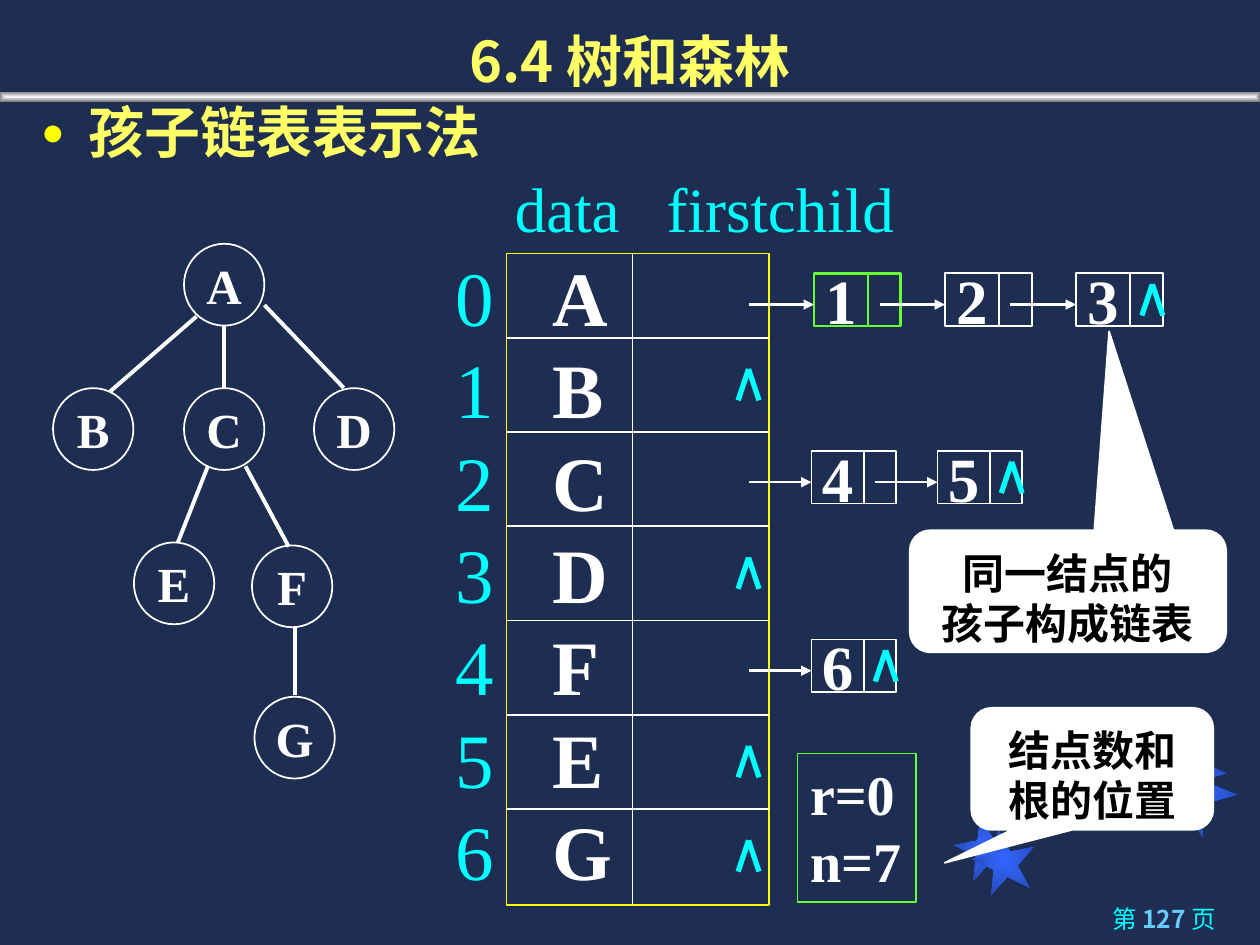
from lxml import etree
from pptx import Presentation
from pptx.dml.color import RGBColor
from pptx.enum.shapes import MSO_CONNECTOR, MSO_SHAPE as Kind
from pptx.enum.text import MSO_ANCHOR as Anchor, PP_ALIGN as Align
from pptx.oxml.ns import qn
from pptx.util import Cm, Pt

COLORS = {
    "navy": "1E2E53", "white": "FFFFFF", "black": "000000", "cyan": "00FFFF",
    "yellow": "FFFF00", "heading": "FFFF66", "green": "66FF33", "sky": "66CCFF",
    "star": "3366FF", "star_edge": "2449B6", "silver": "F2F2F2", "gray": "808080",
}
SERIF, SANS, CJK = "Times New Roman", "Arial", "Noto Sans CJK SC"


def rgb(name):
    return RGBColor.from_string(COLORS[name])


def add_xml(parent, tag, **attributes):
    return etree.SubElement(parent, qn(tag), attributes)


def style(para, size, color, font=SERIF, bold=False, align=Align.LEFT):
    para.alignment = align
    para.font.size, para.font.bold, para.font.name = Pt(size), bold, font
    para.font.color.rgb = rgb(color)
    if font != SERIF:
        defaults = para._p.get_or_add_pPr().find(qn("a:defRPr"))
        add_xml(defaults, "a:ea", typeface=CJK)


def add_tab(para, position):
    tabs = add_xml(para._p.get_or_add_pPr(), "a:tabLst")
    add_xml(tabs, "a:tab", pos=str(Cm(position)), algn="l")


def add_text(page, left, top, width, height):
    frame = page.shapes.add_textbox(Cm(left), Cm(top), Cm(width), Cm(height)).text_frame
    frame.word_wrap = True
    return frame


def add_box(page, kind, left, top, width, height, line=None, weight=1.0, fill=None):
    box = page.shapes.add_shape(kind, Cm(left), Cm(top), Cm(width), Cm(height))
    box.shadow.inherit = False
    if fill:
        box.fill.solid()
        box.fill.fore_color.rgb = rgb(fill)
    else:
        box.fill.background()
    if line:
        box.line.color.rgb = rgb(line)
        box.line.width = Pt(weight)
    else:
        box.line.fill.background()
    return box


def add_line(page, x1, y1, x2, y2, color="white", weight=1.0, arrow=False):
    line = page.shapes.add_connector(
        MSO_CONNECTOR.STRAIGHT, Cm(x1), Cm(y1), Cm(x2), Cm(y2))
    line.line.color.rgb = rgb(color)
    line.line.width = Pt(weight)
    if arrow:
        add_xml(line.line._get_or_add_ln(), "a:tailEnd", type="triangle")
    add_xml(line._element.spPr, "a:effectLst")


def add_caret(page, x, top):
    """Null-pointer mark."""
    for side in (-0.21, 0.21):
        add_line(page, x, top, x + side, top + 0.63, "cyan", 3)


def fill_from_center(box, inner, outer):
    box.fill.gradient()
    for stop, color in zip(box.fill.gradient_stops, (inner, outer)):
        stop.color.rgb = rgb(color)
    gradient = box._element.spPr.find(qn("a:gradFill"))
    gradient.remove(gradient.find(qn("a:lin")))
    path = add_xml(gradient, "a:path", path="shape")
    add_xml(path, "a:fillToRect", l="50000", t="50000", r="50000", b="50000")


def add_decoration(page):
    for left, top, size, angle in ((19.25, 16.43, 1.27, 349), (23.01, 14.61, 1.7, 22),
                                   (19.61, 16.71, 1.27, 349), (23.22, 15.04, 1.7, 22)):
        star = add_box(page, Kind.STAR_5_POINT, left, top, size, size)
        star.rotation = angle
        fill_from_center(star, "star", "star_edge")
    bar = add_box(page, Kind.RECTANGLE, 0, 1.85, 25.4, 0.2)
    fill_from_center(bar, "silver", "gray")


def add_headings(page):
    # Title
    frame = add_text(page, 0, 0, 25.4, 1.9)
    frame.vertical_anchor, frame.margin_bottom = Anchor.BOTTOM, 0
    para = frame.paragraphs[0]
    para.text = "6.4 树和森林"
    style(para, 32, "heading", CJK, True, Align.CENTER)
    # Bulleted topic
    para = add_text(page, 0.58, 1.85, 24.26, 2.26).paragraphs[0]
    para.text = "孩子链表表示法"
    props = para._p.get_or_add_pPr()
    props.set("marL", str(Cm(0.96)))
    props.set("indent", str(-Cm(0.96)))
    add_xml(add_xml(props, "a:buClr"), "a:srgbClr", val=COLORS["yellow"])
    add_xml(props, "a:buSzPct", val="70000")
    add_xml(props, "a:buFont", typeface=SANS)
    add_xml(props, "a:buChar", char="●")
    style(para, 32, "heading", SANS, True)
    # Page number
    para = add_text(page, 18.08, 18.1, 6.68, 0.9).paragraphs[0]
    for text in ("第 ", "127 ", "页"):
        para.add_run().text = text
    style(para, 14, "cyan", CJK, align=Align.RIGHT)
    number = para.runs[1].font
    number.bold, number.color.rgb = True, rgb("sky")


def add_tree(page, left, top):
    centers = {"A": (3.45, 0.84), "B": (0.81, 3.75), "C": (3.45, 3.75), "D": (6.07, 3.75),
               "E": (2.44, 6.86), "F": (4.82, 6.92), "G": (4.87, 9.97)}
    edges = ((3.45, 1.67, 3.45, 2.92), (4.26, 1.25, 5.86, 2.92), (2.89, 1.48, 1.14, 3),
             (3.12, 4.5, 2.51, 6.05), (3.88, 4.5, 4.75, 6.12), (4.87, 7.75, 4.87, 9.12))
    width, height = 1.62, 1.65
    for name, (x, y) in centers.items():
        node = add_box(page, Kind.OVAL, left + x - width / 2, top + y - height / 2,
                       width, height, "white")
        frame = node.text_frame
        frame.word_wrap, frame.vertical_anchor = False, Anchor.MIDDLE
        frame.paragraphs[0].text = name
        style(frame.paragraphs[0], 28, "white", bold=True, align=Align.CENTER)
    for x1, y1, x2, y2 in edges:
        add_line(page, left + x1, top + y1, left + x2, top + y2, weight=2.25)


def add_chain(page, left, top, labels, width, pitch, first="white", weight=1.0):
    """Linked list; an arrow leads into each node."""
    height, split = 1.06, width * 0.62
    for i, label in enumerate(labels):
        x, color, thickness = left + i * pitch, "white", 1.0
        if i == 0:
            color, thickness = first, weight
        node = add_box(page, Kind.RECTANGLE, x, top, width, height, color, thickness)
        frame = node.text_frame
        frame.margin_left = frame.margin_top = frame.margin_bottom = 0
        frame.margin_right = Cm(width - split)
        frame.vertical_anchor = Anchor.MIDDLE
        frame.paragraphs[0].text = label
        style(frame.paragraphs[0], 36, "white", bold=True, align=Align.CENTER)
        add_line(page, x + split, top, x + split, top + height, color, thickness)
        add_line(page, x - pitch / 2, top + 0.63, x, top + 0.63, weight=1.5, arrow=True)
    add_caret(page, left + (len(labels) - 1) * pitch + width * 0.88, top + 0.22)


def add_child_table(page, left, top):
    width, height, first_row, row = 5.3, 13.13, 1.7, 1.9
    # Column heads
    para = add_text(page, left - 0.08, top - 1.81, 9.4, 1.78).paragraphs[0]
    para.text = "data\tfirstchild"
    add_tab(para, 3.06)
    style(para, 36, "cyan")
    # Indexes and data
    frame = add_text(page, left - 1.27, top - 0.21, 3.66, 13.28)
    for i, name in enumerate("ABCDFEG"):
        para = frame.paragraphs[0] if i == 0 else frame.add_paragraph()
        para.line_spacing = Pt(52.8)
        para.add_run().text = f"{i}\t"
        data = para.add_run()
        data.text = name
        add_tab(para, 1.95)
        style(para, 44, "cyan")
        data.font.bold, data.font.color.rgb = True, rgb("white")
    # Grid
    add_box(page, Kind.RECTANGLE, left, top, width, height, "yellow")
    tops = [top + first_row + row * i for i in range(-1, 6)]
    for y in tops[1:]:
        add_line(page, left, y, left + width, y)
    add_line(page, left + 2.54, top, left + 2.54, top + height)
    # Child lists and empty pointers
    for i in (1, 3, 5, 6):
        add_caret(page, left + 4.88, tops[i] + 0.63)
    add_chain(page, left + 6.2, top + 0.4, "123", 1.75, 2.64, "green", 1.5)
    add_chain(page, left + 6.15, tops[2] + 0.38, "45", 1.7, 2.54)
    add_chain(page, left + 6.15, tops[4] + 0.38, "6", 1.7, 2.54)


def add_root_box(page, left, top):
    box = add_box(page, Kind.RECTANGLE, left, top, 2.39, 3, "green")
    frame = box.text_frame
    frame.word_wrap, frame.vertical_anchor = False, Anchor.TOP
    frame.text = "r=0\nn=7"
    for para in frame.paragraphs:
        para.line_spacing = Pt(38.4)
        style(para, 32, "white", bold=True)


def add_callout(page, left, top, width, text, tip):
    box = add_box(page, Kind.ROUNDED_RECTANGULAR_CALLOUT, left, top, width, 2.46,
                  "white", fill="white")
    box.adjustments[0], box.adjustments[1] = tip
    frame = box.text_frame
    frame.vertical_anchor = Anchor.MIDDLE
    frame.margin_top, frame.margin_bottom = Cm(0.25), 0
    frame.text = text
    for para in frame.paragraphs:
        para.line_spacing = Pt(28.6)
        style(para, 24, "black", SANS, True, Align.CENTER)


def main():
    deck = Presentation()
    deck.slide_width, deck.slide_height = Cm(25.4), Cm(19.05)
    page = deck.slides.add_slide(deck.slide_layouts[6])
    page.background.fill.solid()
    page.background.fill.fore_color.rgb = rgb("navy")
    add_decoration(page)
    add_headings(page)
    add_tree(page, 1.07, 4.9)
    add_root_box(page, 16.08, 15.19)
    add_child_table(page, 10.21, 5.11)
    add_callout(page, 18.34, 10.69, 6.38, "同一结点的\n孩子构成链表", (0.13, -2.13))
    add_callout(page, 19.58, 14.27, 4.88, "结点数和\n根的位置", (-0.61, 0.77))
    deck.save("out.pptx")


if __name__ == "__main__":
    main()
